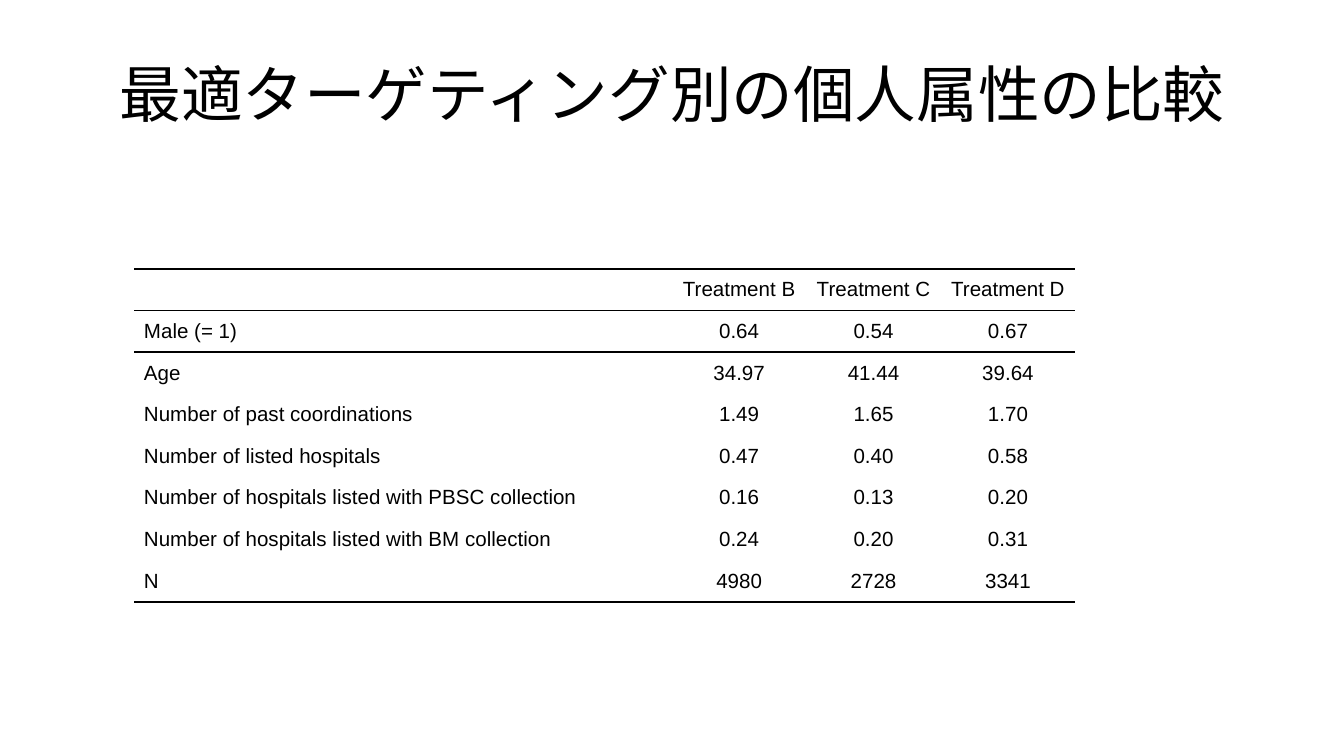
import pptx
import pptx.dml.color
import pptx.enum.text
import pptx.oxml
import pptx.oxml.ns
import pptx.util
from pptx.util import Cm, Pt

BLACK = pptx.dml.color.RGBColor(0, 0, 0)
ALIGN = pptx.enum.text.PP_ALIGN
MIDDLE = pptx.enum.text.MSO_ANCHOR.MIDDLE
PAD, INDENT = Cm(0.16), Cm(0.18)
THICK, THIN = Pt(1), Pt(0.75)
SIZE = 11
PLAIN = "{2D5ABB26-0587-4C30-8999-92F81FD0307C}"  # table style without grid

TITLE = "最適ターゲティング別の個人属性の比較"
ROWS = [
    ("", "Treatment B", "Treatment C", "Treatment D"),
    ("Male (= 1)", "0.64", "0.54", "0.67"),
    ("Age", "34.97", "41.44", "39.64"),
    ("Number of past coordinations", "1.49", "1.65", "1.70"),
    ("Number of listed hospitals", "0.47", "0.40", "0.58"),
    ("Number of hospitals listed with PBSC collection", "0.16", "0.13", "0.20"),
    ("Number of hospitals listed with BM collection", "0.24", "0.20", "0.31"),
    ("N", "4980", "2728", "3341"),
]
WIDTHS = [Cm(10.16)] + [Cm(2.54)] * 3


def style(run, size, face):
    run.font.size = Pt(size)
    run.font.name = face
    run.font.color.rgb = BLACK


def add_title(slide):
    box = slide.shapes.add_textbox(Cm(1.27), Cm(0.57), Cm(22.86), Cm(2.39))
    frame = box.text_frame
    frame.word_wrap = True
    frame.vertical_anchor = MIDDLE
    frame.text = TITLE
    para = frame.paragraphs[0]
    para.alignment = ALIGN.CENTER
    style(para.runs[0], 33, "Calibri")


def add_rule(cell, side, width):
    """Draw a border on the top (T) or bottom (B) of a cell."""
    line = pptx.oxml.parse_xml(
        f'<a:ln{side} {pptx.oxml.ns.nsdecls("a")} w="{int(width)}">'
        f'<a:solidFill><a:srgbClr val="{BLACK}"/></a:solidFill></a:ln{side}>'
    )
    cell._tc.get_or_add_tcPr().insert(0, line)


def fill_cell(cell, text, align):
    cell.fill.background()
    cell.vertical_anchor = MIDDLE
    cell.margin_left = cell.margin_right = 0
    cell.margin_top = cell.margin_bottom = PAD
    cell.text_frame.text = text
    para = cell.text_frame.paragraphs[0]
    para.alignment = align
    para.space_before = para.space_after = Pt(5)
    props = para._p.get_or_add_pPr()
    for edge in ("marL", "marR"):
        props.set(edge, str(int(INDENT)))
    for run in para.runs:
        style(run, SIZE, "Arial")
    if not text:
        # The end mark sets the height of an empty cell.
        mark = f'<a:endParaRPr {pptx.oxml.ns.nsdecls("a")} sz="{SIZE * 100}"/>'
        para._p.append(pptx.oxml.parse_xml(mark))


def add_grid(slide):
    high = Cm(0.64)
    frame = slide.shapes.add_table(
        len(ROWS), len(WIDTHS), Cm(2.54), Cm(5.08), sum(WIDTHS), high * len(ROWS)
    )
    table = frame.table
    table.first_row = table.horz_banding = False
    table._tbl.tblPr.find(pptx.oxml.ns.qn("a:tableStyleId")).text = PLAIN
    for col, width in zip(table.columns, WIDTHS):
        col.width = width
    last = len(ROWS) - 1
    for r, row in enumerate(ROWS):
        table.rows[r].height = high
        for c, text in enumerate(row):
            cell = table.cell(r, c)
            fill_cell(cell, text, ALIGN.CENTER if c else ALIGN.LEFT)
            # Bottom goes in first, as each rule is put before the others.
            if r in (0, last):
                add_rule(cell, "B", THICK if r else THIN)
            if r in (0, 1):
                add_rule(cell, "T", THIN if r else THICK)


def main():
    deck = pptx.Presentation()
    deck.slide_width, deck.slide_height = Cm(25.4), Cm(14.29)
    slide = deck.slides.add_slide(deck.slide_layouts[6])
    add_title(slide)
    add_grid(slide)
    deck.save("out.pptx")


if __name__ == "__main__":
    main()
